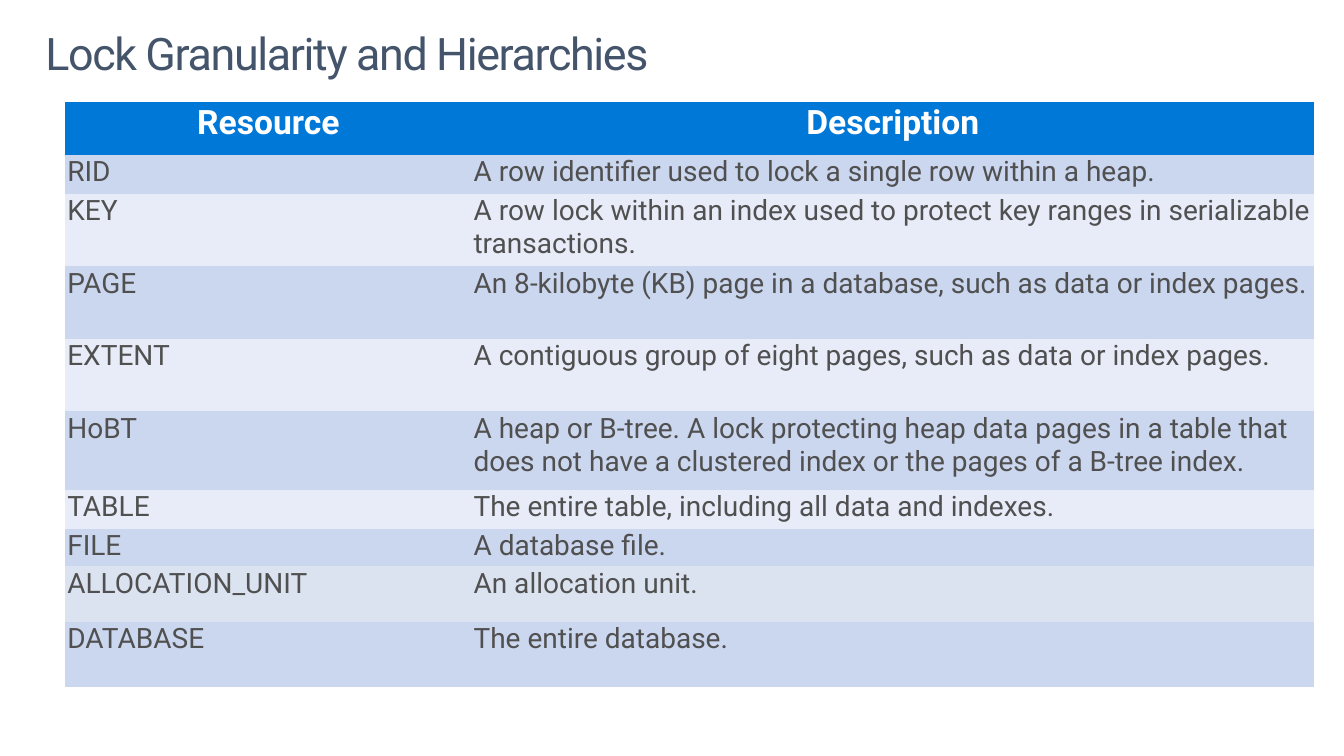
"""Build the slide on lock granularity and hierarchies."""
from dataclasses import dataclass

from pptx import Presentation
from pptx.dml.color import RGBColor
from pptx.enum.text import MSO_ANCHOR, MSO_AUTO_SIZE, PP_ALIGN
from pptx.slide import Slide
from pptx.text.text import TextFrame
from pptx.util import Pt

LEFT, CENTER = PP_ALIGN.LEFT, PP_ALIGN.CENTER
TOP = MSO_ANCHOR.TOP
NO_FIT = MSO_AUTO_SIZE.NONE
TITLE_ONLY = 5
FONT = "Roboto"
COLORS = {
    "title": "44546A",
    "head": "0078D7",
    "white": "FFFFFF",
    "text": "505050",
    "dark": "CBD6EF",
    "light": "E7ECF8",
    "gray": "DBE3F1",
}
WIDTHS = (290.2, 601.9)


@dataclass(frozen=True)
class Row:
    name: str
    detail: str
    height: float
    fill: str


ROWS = [
    Row("Resource", "Description", 37.8, "head"),
    Row("RID", "A row identifier used to lock a single row within a heap.", 27.9, "dark"),
    Row("KEY", "A row lock within an index used to protect key ranges in "
        "serializable transactions.", 51.8, "light"),
    Row("PAGE", "An 8-kilobyte (KB) page in a database, such as data or index pages.",
        51.8, "dark"),
    Row("EXTENT", "A contiguous group of eight pages, such as data or index pages.",
        51.8, "light"),
    Row("HoBT", "A heap or B-tree. A lock protecting heap data pages in a table that "
        "does not have a clustered index or the pages of a B-tree index.", 55.9, "dark"),
    Row("TABLE", "The entire table, including all data and indexes.", 28, "light"),
    Row("FILE", "A database file.", 26.6, "dark"),
    Row("ALLOCATION_UNIT", "An allocation unit.", 39.8, "gray"),
    Row("DATABASE", "The entire database.", 46.4, "dark"),
]


def write(frame: TextFrame, text: str, *, size: float, color: str, bold: bool = False,
          align: PP_ALIGN = LEFT, lines: float = 1.0, track: float = 0) -> None:
    """Put one formatted run of text into a frame."""
    para = frame.paragraphs[0]
    para.alignment = align
    para.line_spacing = lines
    run = para.add_run()
    run.text = text
    font = run.font
    font.name, font.size, font.bold = FONT, Pt(size), bold
    font.color.rgb = RGBColor.from_string(COLORS[color])
    if track:
        run._r.get_or_add_rPr().set("spc", str(round(track * 100)))


def add_title(slide: Slide, text: str) -> None:
    """Place and fill the title."""
    title = slide.shapes.title
    title.left, title.top = Pt(20.9), Pt(15.8)
    title.width, title.height = Pt(918), Pt(70.6)
    frame = title.text_frame
    frame.auto_size, frame.word_wrap = NO_FIT, True
    frame.vertical_anchor = TOP
    frame.margin_left = frame.margin_right = Pt(11.5)
    frame.margin_top = frame.margin_bottom = Pt(7.2)
    write(frame, text, size=32, color="title", lines=0.9, track=-1)


def add_grid(slide: Slide, rows: list[Row]) -> None:
    """Draw the table of lock types."""
    height = sum(row.height for row in rows)
    table = slide.shapes.add_table(len(rows), len(WIDTHS), Pt(46.6), Pt(72.8),
                                   Pt(sum(WIDTHS)), Pt(height)).table
    for column, width in zip(table.columns, WIDTHS):
        column.width = Pt(width)
    for line, row in zip(table.rows, rows):
        line.height = Pt(row.height)
        head = row.fill == "head"
        for cell, text in zip(line.cells, (row.name, row.detail)):
            cell.margin_left = cell.margin_right = Pt(1.5)
            cell.margin_top = cell.margin_bottom = Pt(0.7)
            cell.vertical_anchor = TOP
            cell.fill.solid()
            cell.fill.fore_color.rgb = RGBColor.from_string(COLORS[row.fill])
            write(cell.text_frame, text, size=24 if head else 20, bold=head,
                  color="white" if head else "text", align=CENTER if head else LEFT)
    table.horz_banding = table.first_row = False
    style = table._tbl.tblPr[0]
    style.text = "{2D5ABB26-0587-4C30-8999-92F81FD0307C}"


def main() -> None:
    """Build and save the deck."""
    deck = Presentation()
    deck.slide_width, deck.slide_height = Pt(960), Pt(540)
    slide = deck.slides.add_slide(deck.slide_layouts[TITLE_ONLY])
    add_title(slide, "Lock Granularity and Hierarchies")
    add_grid(slide, ROWS)
    deck.save("out.pptx")


if __name__ == "__main__":
    main()
